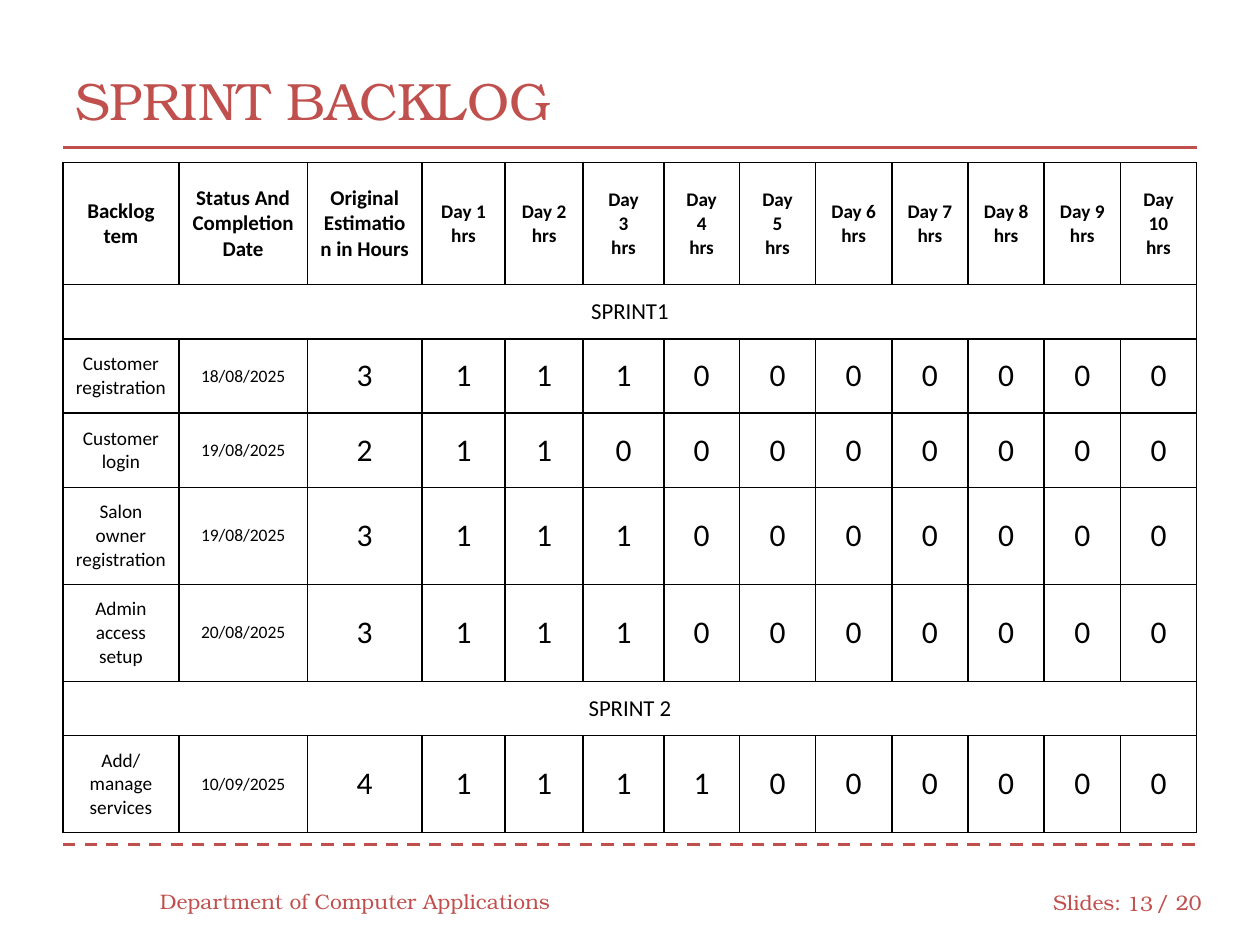
from lxml.etree import SubElement
from pptx import Presentation
from pptx.dml.color import RGBColor as RGB
from pptx.enum.dml import MSO_LINE
from pptx.enum.shapes import MSO_CONNECTOR
from pptx.enum.text import MSO_ANCHOR, PP_ALIGN
from pptx.oxml.ns import qn
from pptx.util import Inches, Pt

# Content: a plain string is a sprint band, a tuple is (item, date, estimate, hours per day)
TITLE = "SPRINT BACKLOG"
HEADINGS = ["Backlog tem", "Status And Completion Date", "Original Estimation in Hours"]
DAYS = ["Day 1\nhrs", "Day 2\nhrs", "Day\n3\nhrs", "Day\n4\nhrs", "Day\n5\nhrs"]
DAYS += [f"Day {n}\nhrs" for n in range(6, 11)]
BACKLOG = [
    "SPRINT1",
    ("Customer\nregistration", "18/08/2025", 3, [1, 1, 1, 0, 0, 0, 0, 0, 0, 0]),
    ("Customer\nlogin", "19/08/2025", 2, [1, 1, 0, 0, 0, 0, 0, 0, 0, 0]),
    ("Salon owner registration", "19/08/2025", 3, [1, 1, 1, 0, 0, 0, 0, 0, 0, 0]),
    ("Admin access setup", "20/08/2025", 3, [1, 1, 1, 0, 0, 0, 0, 0, 0, 0]),
    "SPRINT 2",
    ("Add/manage services", "10/09/2025", 4, [1, 1, 1, 1, 0, 0, 0, 0, 0, 0]),
]

THEME = {
    "accent": RGB(0xC0, 0x50, 0x4D), "ink": RGB(0, 0, 0), "paper": RGB(255, 255, 255),
    "display": "TeX Gyre Bonum", "body": "Calibri",
    "title": 30, "footer": 12, "heading": 12, "day": 11,
    "band": 13, "item": 11, "date": 10, "number": 18,
}

# Grid, in inches; the last six days share the remaining width equally
LEFT, WIDTH, TABLE_TOP = 0.5, 9, 1.29
COLS = [0.92, 1.02, 0.91, 0.66, 0.62, 0.64, 0.6]
COLS += [(WIDTH - sum(COLS)) / 6] * 6
ROWS = [0.97, 0.43, 0.59, 0.59, 0.77, 0.77, 0.43, 0.77]
RULES = [(1.17, MSO_LINE.SOLID), (6.7, MSO_LINE.DASH)]
LABELS = [  # text, left, top, width, height, size, alignment
    (TITLE, LEFT, 0.33, WIDTH, 0.92, "title", PP_ALIGN.LEFT),
    ("Department of Computer Applications", 1.17, 6.95, 3.33, 0.4, "footer", PP_ALIGN.LEFT),
    ("Slides:", 8.26, 6.96, 0.75, 0.4, "footer", PP_ALIGN.LEFT),
    ("13", 8.83, 6.97, 0.42, 0.4, "footer", PP_ALIGN.RIGHT),
    ("/ 20", 9.08, 6.96, 0.58, 0.4, "footer", PP_ALIGN.LEFT),
]


def write(tf, text, size, font, color, align, bold=False):
    for i, line in enumerate(text.split("\n")):
        p = tf.add_paragraph() if i else tf.paragraphs[0]
        p.alignment = align
        r = p.add_run()
        r.text = line
        r.font.name, r.font.size, r.font.bold = THEME[font], Pt(THEME[size]), bold
        r.font.color.rgb = THEME[color]


def add_label(s, text, left, top, width, height, size, align):
    tf = s.shapes.add_textbox(*map(Inches, (left, top, width, height))).text_frame
    tf.word_wrap = True
    tf.vertical_anchor = MSO_ANCHOR.MIDDLE
    # Only the edge the text sits against needs an inset
    tf.margin_left = Inches(0.1 if align == PP_ALIGN.LEFT else 0)
    tf.margin_right = Inches(0.1 if align == PP_ALIGN.RIGHT else 0)
    write(tf, text, size, "display", "accent", align)


def add_rule(s, y, dash):
    line = s.shapes.add_connector(MSO_CONNECTOR.STRAIGHT, Inches(LEFT), Inches(y),
                                  Inches(LEFT + WIDTH), Inches(y))
    line.line.color.rgb = THEME["accent"]
    line.line.width = Pt(1.75)
    line.line.dash_style = dash
    SubElement(line._element.spPr, qn("a:effectLst"))


def style_cell(cell):
    tc_pr = cell._tc.get_or_add_tcPr()
    for side in ("lnL", "lnR", "lnT", "lnB"):
        ln = SubElement(tc_pr, qn(f"a:{side}"), w=str(Pt(1)))
        fill = SubElement(ln, qn("a:solidFill"))
        SubElement(fill, qn("a:srgbClr"), val=str(THEME["ink"]))
    cell.fill.solid()
    cell.fill.fore_color.rgb = THEME["paper"]
    cell.vertical_anchor = MSO_ANCHOR.MIDDLE
    cell.margin_left = cell.margin_right = Inches(0.1)
    cell.margin_top = cell.margin_bottom = Inches(0.1)


def fill_row(table, row, texts, sizes, bold=False):
    for col, (text, size) in enumerate(zip(texts, sizes)):
        write(table.cell(row, col).text_frame, str(text), size, "body", "ink",
              PP_ALIGN.CENTER, bold)


def add_backlog(s):
    table = s.shapes.add_table(len(ROWS), len(COLS), Inches(LEFT), Inches(TABLE_TOP),
                               Inches(WIDTH), Inches(sum(ROWS))).table
    table.horz_banding = False
    for col, width in zip(table.columns, COLS):
        col.width = Inches(width)
    for row, height in zip(table.rows, ROWS):
        row.height = Inches(height)
    for cell in table.iter_cells():
        style_cell(cell)

    fill_row(table, 0, HEADINGS + DAYS, ["heading"] * 3 + ["day"] * 10, bold=True)
    for i, entry in enumerate(BACKLOG, start=1):
        if isinstance(entry, str):
            table.cell(i, 0).merge(table.cell(i, len(COLS) - 1))
            fill_row(table, i, [entry], ["band"])
        else:
            item, date, estimate, hours = entry
            fill_row(table, i, [item, date, estimate, *hours],
                     ["item", "date"] + ["number"] * 11)


def main():
    prs = Presentation()
    prs.slide_width, prs.slide_height = Inches(10), Inches(7.5)
    s = prs.slides.add_slide(prs.slide_layouts[6])
    for rule in RULES:
        add_rule(s, *rule)
    for label in LABELS:
        add_label(s, *label)
    add_backlog(s)
    prs.save("out.pptx")


if __name__ == "__main__":
    main()
